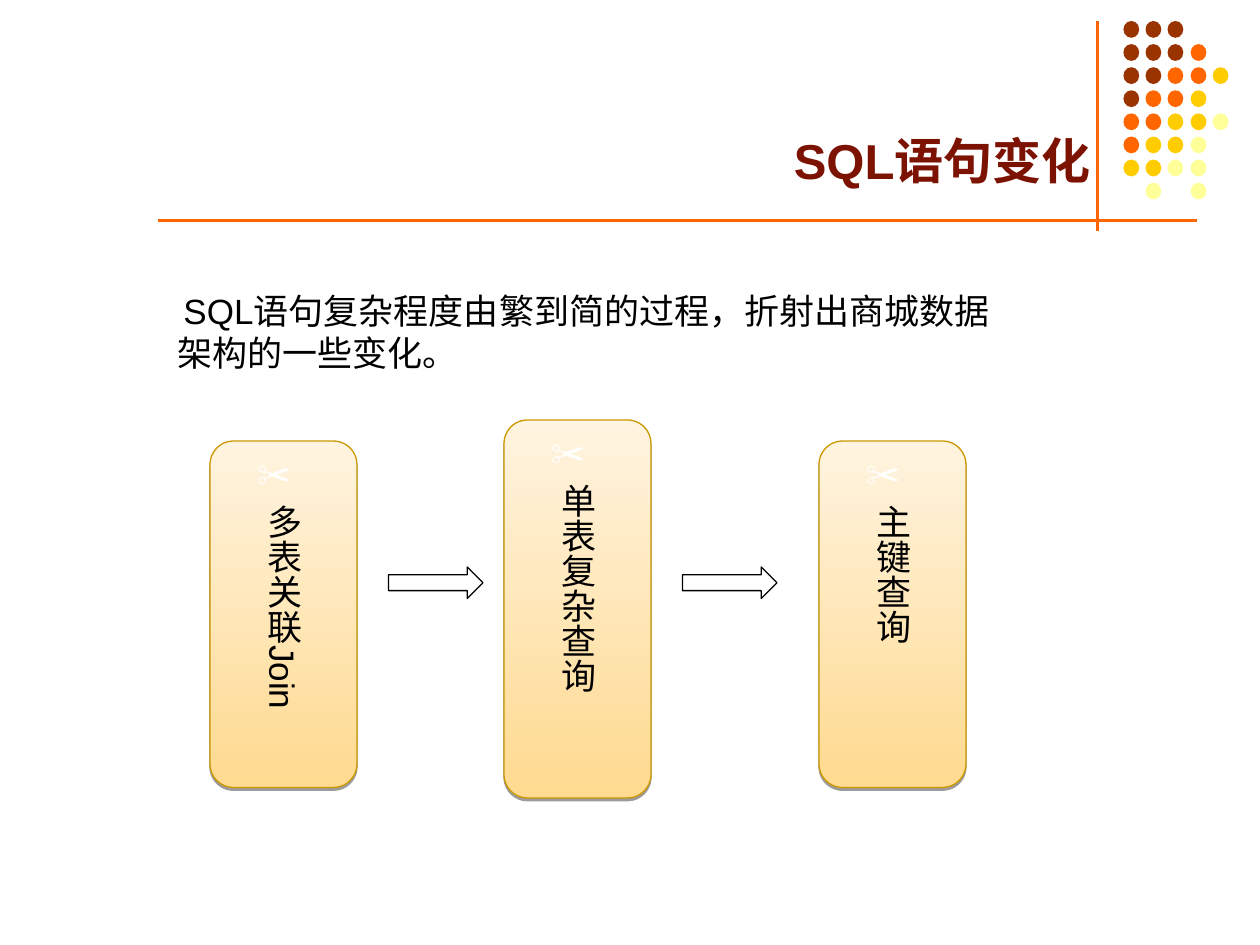
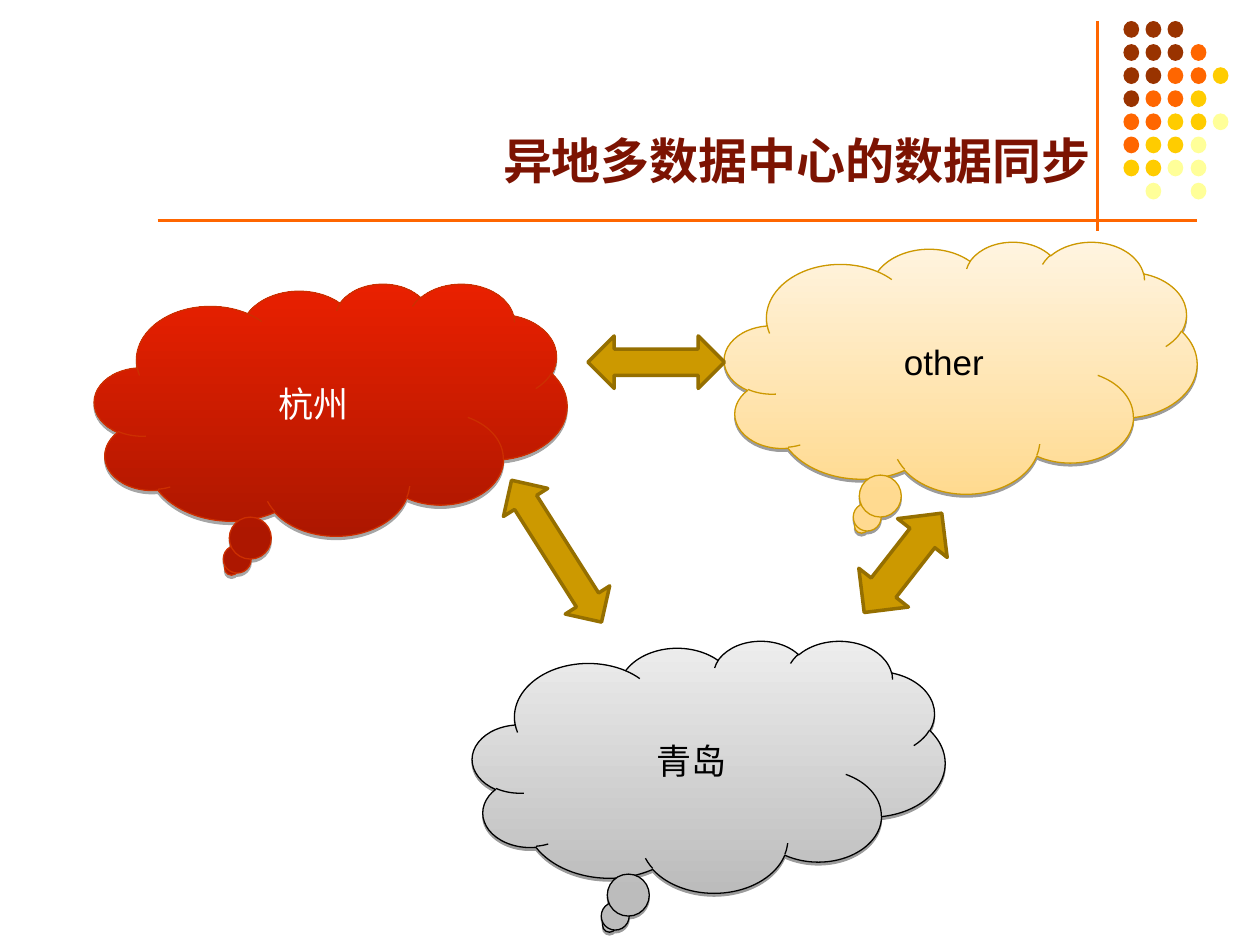
"""Build two slides on query changes and data centre sync."""
from dataclasses import dataclass
from typing import Any, Optional

from lxml import etree
from pptx import Presentation
from pptx import util as u
from pptx.dml.color import RGBColor
from pptx.enum import shapes, text
from pptx.oxml import ns
from pptx.shapes.base import BaseShape
from pptx.slide import Slide

SCALE = 7620
FONT = "Arial"
BLACK = RGBColor(0x00, 0x00, 0x00)
WHITE = RGBColor(0xFF, 0xFF, 0xFF)
MAROON = RGBColor(0x7C, 0x13, 0x02)
BROWN = RGBColor(0x99, 0x33, 0x00)
ORANGE = RGBColor(0xFF, 0x66, 0x00)
YELLOW = RGBColor(0xFF, 0xCC, 0x00)
LEMON = RGBColor(0xFF, 0xFF, 0x99)
GOLD = RGBColor(0xCC, 0x99, 0x00)
BRONZE = RGBColor(0x95, 0x6F, 0x00)

KIND = shapes.MSO_SHAPE
ALIGN = text.PP_ALIGN
MIDDLE = text.MSO_ANCHOR.MIDDLE
DOTS = ("BBB", "BBBO", "BBOOY", "BOOY", "OOYYL", "OYYL", "YYLL", " L L")
TINTS = {"B": BROWN, "O": ORANGE, "Y": YELLOW, "L": LEMON}


@dataclass(frozen=True)
class Box:
    """A place on the slide, in px."""
    left: int
    top: int
    width: int
    height: int

    def emu(self) -> list[int]:
        """Give the four lengths in EMU."""
        return [px(n) for n in (self.left, self.top, self.width, self.height)]


@dataclass(frozen=True)
class Skin:
    """Gradient, outline, text colour and shadow of a panel."""
    low: RGBColor
    high: RGBColor
    edge: RGBColor
    ink: RGBColor = BLACK
    alpha: int = 38
    drop: float = 1.6


@dataclass(frozen=True)
class Panel:
    """A shaded shape with its words."""
    words: str
    box: Box
    skin: Skin


@dataclass(frozen=True)
class Arrow:
    """A block arrow."""
    kind: shapes.MSO_SHAPE
    box: Box
    turn: float = 0
    fill: Optional[RGBColor] = GOLD
    edge: RGBColor = BRONZE
    weight: float = 2


CREAM = Skin(RGBColor(0xFF, 0xDA, 0x90), RGBColor(0xFF, 0xF4, 0xE0),
             RGBColor(0xCC, 0x98, 0x00))
RED = Skin(RGBColor(0xAD, 0x17, 0x00), RGBColor(0xE9, 0x20, 0x00),
           RGBColor(0xCC, 0x2F, 0x00), WHITE, 35, 1.8)
GREY = Skin(RGBColor(0xBC, 0xBC, 0xBC), RGBColor(0xED, 0xED, 0xED), BLACK)

STEPS = (
    Panel("多表关联Join", Box(200, 420, 140, 330), CREAM),
    Panel("单表复杂查询", Box(480, 400, 140, 360), CREAM),
    Panel("主键查询", Box(780, 420, 140, 330), CREAM),
)
CLOUDS = (
    Panel("杭州", Box(90, 270, 450, 240), RED),
    Panel("青岛", Box(450, 610, 450, 240), GREY),
    Panel("other", Box(690, 230, 450, 240), CREAM),
)
FLOWS = tuple(Arrow(KIND.RIGHT_ARROW, Box(left, 540, 90, 30), 0, None, BLACK, 0.75)
              for left in (370, 650))
LINKS = (
    Arrow(KIND.LEFT_RIGHT_ARROW, Box(450, 500, 160, 50), 57.6),
    Arrow(KIND.LEFT_RIGHT_ARROW, Box(560, 320, 130, 50)),
    Arrow(KIND.UP_DOWN_ARROW, Box(830, 476, 60, 120), 218),
)


def px(count: int) -> u.Emu:
    """Turn px into EMU."""
    return u.Emu(count * SCALE)


def apply(target: Any, values: dict[str, Any]) -> None:
    """Set each named value on the target."""
    for name, value in values.items():
        setattr(target, name, value)


def sub(parent: Any, tag: str, **marks: Any) -> Any:
    """Add a drawing element with its marks."""
    return etree.SubElement(parent, ns.qn(tag), {k: str(v) for k, v in marks.items()})


def write(shape: BaseShape, words: str, font: dict[str, Any], para: dict[str, Any],
          frame: dict[str, Any]) -> None:
    """Put one styled paragraph in a shape."""
    body = shape.text_frame
    apply(body, {"word_wrap": True, **frame})
    line = body.paragraphs[0]
    apply(line, para)
    run = line.add_run()
    run.text = words
    apply(run.font, {"name": FONT, "size": u.Pt(20)} | {
        k: v for k, v in font.items() if k != "ink"})
    run.font.color.rgb = font["ink"]


def mark(shape: BaseShape) -> None:
    """Give the paragraph a white scissors bullet."""
    props = shape.text_frame.paragraphs[0]._p.get_or_add_pPr()
    apply_marks = {"marL": px(27), "indent": -px(27)}
    for name, value in apply_marks.items():
        props.set(name, str(value))
    sub(sub(props, "a:buClr"), "a:srgbClr", val=WHITE)
    sub(props, "a:buFont", typeface=FONT)
    sub(props, "a:buChar", char="✂")


def rule(slide: Slide, start: tuple[int, int], end: tuple[int, int]) -> None:
    """Draw an orange line."""
    line = slide.shapes.add_connector(
        shapes.MSO_CONNECTOR.STRAIGHT, *map(px, start + end))
    line.line.color.rgb = ORANGE
    line.line.width = u.Pt(1.5)
    sub(line.element.spPr, "a:effectLst")


def dot(slide: Slide, box: Box, tint: RGBColor) -> None:
    """Draw a plain dot."""
    disc = slide.shapes.add_shape(KIND.OVAL, *box.emu())
    disc.fill.solid()
    disc.fill.fore_color.rgb = tint
    disc.line.fill.background()
    disc.shadow.inherit = False


def panel(slide: Slide, kind: shapes.MSO_SHAPE, item: Panel) -> BaseShape:
    """Draw a shaded panel with a drop shadow."""
    skin = item.skin
    shape = slide.shapes.add_shape(kind, *item.box.emu())
    shape.fill.gradient()
    shape.fill.gradient_angle = 90
    for stop, tint, place in zip(shape.fill.gradient_stops, (skin.low, skin.high), (0, 1)):
        stop.color.rgb = tint
        stop.position = place
    shape.line.color.rgb = skin.edge
    shape.line.width = u.Pt(0.75)
    shape.shadow.inherit = False
    shade = sub(shape.element.spPr.find(ns.qn("a:effectLst")), "a:outerShdw",
                blurRad=0, dist=u.Pt(skin.drop), dir=5400000, rotWithShape=0)
    sub(sub(shade, "a:srgbClr", val=BLACK), "a:alpha", val=skin.alpha * 1000)
    write(shape, item.words, {"ink": skin.ink},
          {"alignment": ALIGN.CENTER, "space_before": u.Pt(5)},
          {"vertical_anchor": MIDDLE})
    return shape


def step(slide: Slide, item: Panel) -> None:
    """Draw a rounded card with upright text."""
    card = panel(slide, KIND.ROUNDED_RECTANGLE, item)
    card.adjustments[0] = 0.16
    apply(card.text_frame, {"margin_left": px(6), "margin_right": px(6),
                            "margin_top": px(12), "margin_bottom": px(12)})
    card.element.txBody.bodyPr.set("vert", "eaVert")
    mark(card)


def cloud(slide: Slide, item: Panel) -> None:
    """Draw a cloud for one data centre."""
    shape = panel(slide, KIND.CLOUD_CALLOUT, item)
    shape.adjustments[0] = -0.21
    shape.adjustments[1] = 0.63


def arrow(slide: Slide, item: Arrow) -> None:
    """Draw a block arrow."""
    shape = slide.shapes.add_shape(item.kind, *item.box.emu())
    shape.rotation = item.turn
    if item.fill is None:
        shape.fill.background()
    else:
        shape.fill.solid()
        shape.fill.fore_color.rgb = item.fill
    shape.line.color.rgb = item.edge
    shape.line.width = u.Pt(item.weight)
    shape.shadow.inherit = False


def base(deck: Any, title: str) -> Slide:
    """Add a slide with rules, dots and title."""
    slide = deck.slides.add_slide(deck.slide_layouts[6])
    rule(slide, (1045, 20), (1045, 220))
    for row, line in enumerate(DOTS):
        for col, key in enumerate(line):
            if key in TINTS:
                dot(slide, Box(1070 + col * 107 // 5, 20 + row * 22, 15, 16), TINTS[key])
    rule(slide, (150, 210), (1140, 210))
    head = slide.shapes.add_textbox(*Box(60, 16, 990, 170).emu())
    write(head, title, {"ink": MAROON, "size": u.Pt(28), "bold": True},
          {"alignment": ALIGN.RIGHT}, {"vertical_anchor": text.MSO_ANCHOR.BOTTOM})
    return slide


def change(deck: Any) -> None:
    """Build the slide on query changes."""
    slide = base(deck, "SQL语句变化")
    for item in STEPS:
        step(slide, item)
    for item in FLOWS:
        arrow(slide, item)
    note = slide.shapes.add_textbox(*Box(130, 270, 840, 92).emu())
    write(note, "SQL语句复杂程度由繁到简的过程，折射出商城数据架构的一些变化。",
          {"ink": BLACK}, {"space_before": u.Pt(5)}, {})
    mark(note)


def sync(deck: Any) -> None:
    """Build the slide on data centre sync."""
    slide = base(deck, "异地多数据中心的数据同步")
    for item in CLOUDS:
        cloud(slide, item)
    for item in LINKS:
        arrow(slide, item)


def main() -> None:
    """Build and save the deck."""
    deck = Presentation()
    apply(deck, {"slide_width": px(1200), "slide_height": px(900)})
    change(deck)
    sync(deck)
    deck.save("out.pptx")


if __name__ == "__main__":
    main()
